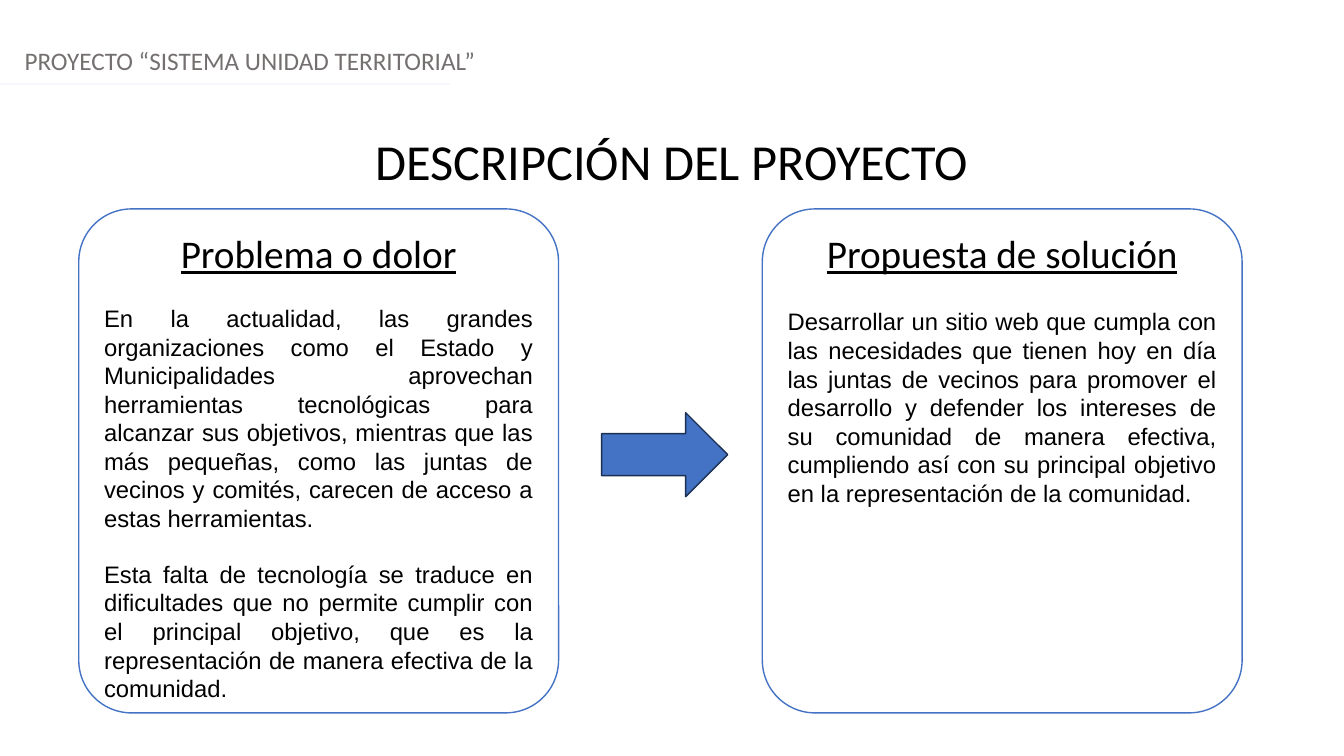
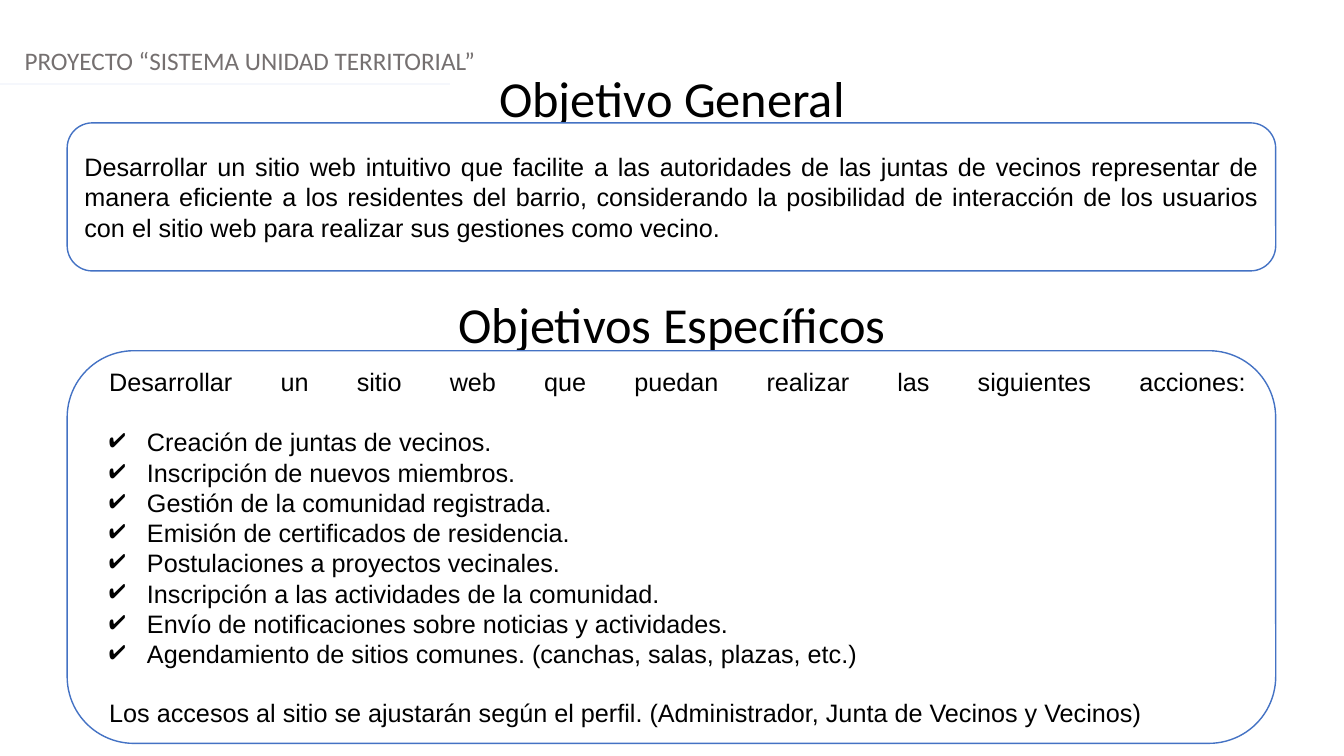
from lxml import etree
from pptx import Presentation, util as u
from pptx.dml.color import RGBColor
from pptx.enum import shapes, text as t
from pptx.oxml.ns import qn

PX = 9525  # EMU per px, 96 px to the inch
WIDTH, HEIGHT = 1280, 720
COLORS = {"black": "000000", "white": "FFFFFF", "gray": "757070",
          "blue": "4472C4", "navy": "1C3052", "pale": "F5F7FC"}
LEFT, CENTER, JUSTIFY = t.PP_ALIGN.LEFT, t.PP_ALIGN.CENTER, t.PP_ALIGN.JUSTIFY
TOP, MIDDLE = t.MSO_ANCHOR.TOP, t.MSO_ANCHOR.MIDDLE
TITLE = dict(size=36, align=CENTER)
HEADING = dict(size=28, align=CENTER, underline=True)
BODY = dict(font="Arial", align=JUSTIFY)


def write(box, content, font="Calibri", size=18, color="black", align=LEFT, underline=False,
          before=0, margin=0, indent=0, bullet=None, line_break=False):
    """Add one formatted paragraph, filling the first one while it is empty."""
    frame = box.text_frame
    frame.word_wrap = True
    para = frame.paragraphs[0] if not frame.text else frame.add_paragraph()
    para.alignment, para.space_before = align, u.Pt(before)
    span = para.add_run()
    span.text = content
    span.font.name, span.font.size, span.font.underline = font, u.Pt(size), underline
    span.font.color.rgb = RGBColor.from_string(COLORS[color])
    if line_break:
        para.add_line_break()
    props = para._p.get_or_add_pPr()
    props.set("marL", str(margin * PX))
    props.set("indent", str(indent * PX))
    if bullet:
        bullet_color = etree.SubElement(props, qn("a:buClr"))
        etree.SubElement(bullet_color, qn("a:srgbClr"), val=COLORS[color])
        etree.SubElement(props, qn("a:buChar"), char=bullet)


def add_box(page, kind, place, fill="white", line="blue", corner=None, anchor=TOP):
    box = page.shapes.add_shape(kind, *[n * PX for n in place])
    box.shadow.inherit = False
    box.fill.solid()
    box.fill.fore_color.rgb = RGBColor.from_string(COLORS[fill])
    box.line.color.rgb = RGBColor.from_string(COLORS[line])
    box.line.width = u.Pt(1)
    if corner:
        box.adjustments[0] = corner
    box.text_frame.vertical_anchor = anchor
    return box


deck = Presentation()
deck.slide_width, deck.slide_height = WIDTH * PX, HEIGHT * PX
ROUNDED = shapes.MSO_SHAPE.ROUNDED_RECTANGLE

# Shared title and header band
pages = []
for title_text, title_top in [("DESCRIPCIÓN DEL PROYECTO", 119), ("Objetivo General", 59)]:
    page = deck.slides.add_slide(deck.slide_layouts[5])
    title = page.shapes.title
    title.left, title.top, title.width, title.height = [n * PX for n in (0, title_top, WIDTH, 68)]
    title.text_frame.vertical_anchor = TOP
    title.text_frame.auto_size = t.MSO_AUTO_SIZE.NONE
    write(title, title_text, **TITLE)

    header = page.shapes.add_textbox(*[n * PX for n in (14, 38, 1252, 38)])
    write(header, "PROYECTO “SISTEMA UNIDAD TERRITORIAL”", color="gray")
    rule = page.shapes.add_connector(shapes.MSO_CONNECTOR.STRAIGHT, 0, 80 * PX, 429 * PX, 80 * PX)
    rule.line.color.rgb = RGBColor.from_string(COLORS["pale"])
    rule.line.width = u.Pt(1.25)
    etree.SubElement(rule._element.spPr, qn("a:effectLst"))
    pages.append(page)
description, objectives = pages

# Slide 1: problem, arrow, solution
CARDS = [
    (75, "Problema o dolor", 19.5, [
        "En la actualidad, las grandes organizaciones como el Estado y Municipalidades aprovechan "
        "herramientas tecnológicas para alcanzar sus objetivos, mientras que las más pequeñas, como "
        "las juntas de vecinos y comités, carecen de acceso a estas herramientas.",
        "Esta falta de tecnología se traduce en dificultades que no permite cumplir con el principal "
        "objetivo, que es la representación de manera efectiva de la comunidad."]),
    (726, "Propuesta de solución", 22, [
        "Desarrollar un sitio web que cumpla con las necesidades que tienen hoy en día las juntas de "
        "vecinos para promover el desarrollo y defender los intereses de su comunidad de manera "
        "efectiva, cumpliendo así con su principal objetivo en la representación de la comunidad."]),
]
for left, heading, gap, paragraphs in CARDS:
    card = add_box(description, ROUNDED, (left, 199, 457, 480), corner=0.11)
    write(card, heading, **HEADING)
    for content in paragraphs:
        write(card, content, size=17, before=gap, **BODY)
add_box(description, shapes.MSO_SHAPE.RIGHT_ARROW, (573, 393, 120, 80), fill="blue", line="navy")

# Slide 2: general and specific objectives
subtitle = objectives.shapes.add_textbox(*[n * PX for n in (0, 274, WIDTH, 68)])
write(subtitle, "Objetivos Específicos", **TITLE)
general, specific = [
    add_box(objectives, ROUNDED, (64, top, 1151, height), corner=0.17, anchor=MIDDLE)
    for top, height in [(117, 141), (334, 374)]]
write(general, "Desarrollar un sitio web intuitivo que facilite a las autoridades de las juntas de "
      "vecinos representar de manera eficiente a los residentes del barrio, considerando la "
      "posibilidad de interacción de los usuarios con el sitio web para realizar sus gestiones "
      "como vecino.", **BODY)

ACTIONS = [
    "Creación de juntas de vecinos.",
    "Inscripción de nuevos miembros.",
    "Gestión de la comunidad registrada.",
    "Emisión de certificados de residencia.",
    "Postulaciones a proyectos vecinales.",
    "Inscripción a las actividades de la comunidad.",
    "Envío de notificaciones sobre noticias y actividades.",
    "Agendamiento de sitios comunes. (canchas, salas, plazas, etc.)",
]
# The line break makes the justified line fill the whole width
write(specific, "Desarrollar un sitio web que puedan realizar las siguientes acciones:",
      margin=12, line_break=True, **BODY)
for action in ACTIONS:
    write(specific, action, margin=48, indent=-36, bullet="✔", **BODY)
write(specific, "Los accesos al sitio se ajustarán según el perfil. (Administrador, Junta de Vecinos "
      "y Vecinos)", margin=12, before=20.7, **BODY)

deck.save("out.pptx")
